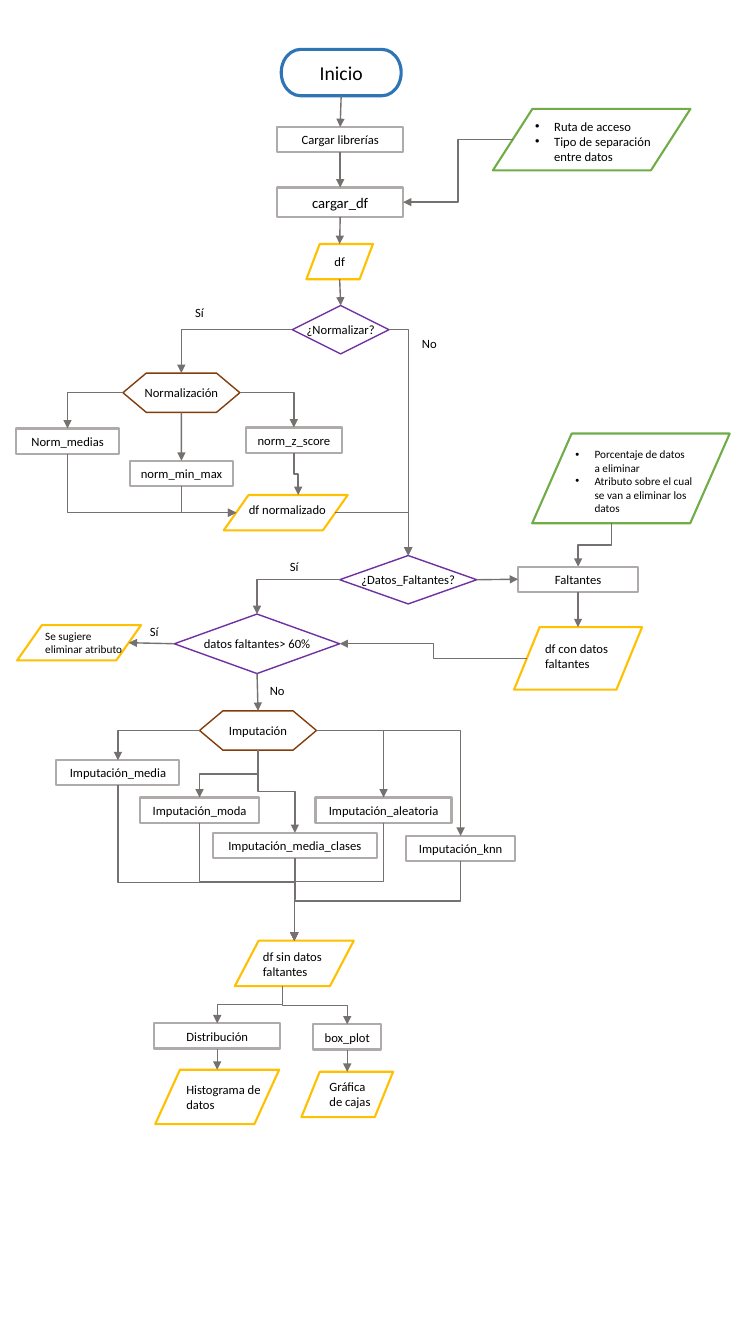
from lxml.etree import SubElement as Sub
from pptx import Presentation
from pptx.dml.color import RGBColor as Rgb
from pptx.enum.shapes import MSO_CONNECTOR as Con, MSO_SHAPE as Geo
from pptx.enum.text import MSO_ANCHOR as Anchor, PP_ALIGN as Align
from pptx.oxml.ns import qn
from pptx.util import Inches, Pt

FONT, INK, ARROW = "Calibri", "000000", "767171"
INDENT = 0.19

KINDS = {
    "start": (Geo.FLOWCHART_TERMINATOR, "2E75B6", 2.25),
    "step": (Geo.RECTANGLE, "AFABAB", 1.5),
    "input": (Geo.FLOWCHART_DATA, "70AD47", 1.5),
    "data": (Geo.FLOWCHART_DATA, "FFC000", 1.5),
    "choice": (Geo.FLOWCHART_DECISION, "7030A0", 1),
    "branch": (Geo.FLOWCHART_PREPARATION, "843C0B", 1),
}

NODES = {
    "start": ("start", 2.79, 0.49, 1.19, 0.46, "Inicio", 14),
    "libs": ("step", 2.75, 1.26, 1.25, 0.25, "Cargar librerías", 9),
    "load": ("step", 2.75, 1.86, 1.25, 0.29, "cargar_df", 10.5),
    "source": ("input", 4.89, 1.08, 1.96, 0.61, "", 9),
    "df": ("data", 3.04, 2.42, 0.66, 0.35, "df", 9),
    "norm?": ("choice", 2.9, 3.03, 0.96, 0.48, "¿Normalizar?", 9),
    "norm": ("branch", 1.22, 3.7, 1.16, 0.39, "Normalización", 9),
    "means": ("step", 0.16, 4.25, 1.02, 0.25, "Norm_medias", 9),
    "minmax": ("step", 1.29, 4.57, 1.02, 0.25, "norm_min_max", 9),
    "zscore": ("step", 2.44, 4.24, 0.95, 0.25, "norm_z_score", 9),
    "normed": ("data", 2.22, 4.91, 1.23, 0.35, "", 9),
    "limits": ("input", 5.28, 4.3, 1.96, 0.89, "", 8),
    "gaps?": ("choice", 3.37, 5.51, 1.36, 0.48, "¿Datos_Faltantes?", 9),
    "gaps": ("step", 5.14, 5.62, 1.19, 0.25, "Faltantes", 9),
    "gap df": ("data", 5.1, 6.22, 1.27, 0.62, "", 9),
    "60%?": ("choice", 1.73, 6.09, 1.64, 0.59, "datos faltantes> 60%", 9),
    "drop": ("data", 0.17, 6.2, 1.23, 0.35, "", 8),
    "fill": ("branch", 1.98, 7.05, 1.16, 0.39, "Imputación", 9),
    "mean": ("step", 0.56, 7.54, 1.22, 0.25, "Imputación_media", 9),
    "mode": ("step", 1.39, 7.91, 1.18, 0.25, "Imputación_moda", 9),
    "class": ("step", 2.11, 8.26, 1.63, 0.25, "Imputación_media_clases", 9),
    "random": ("step", 3.13, 7.91, 1.35, 0.25, "Imputación_aleatoria", 9),
    "knn": ("step", 4.03, 8.29, 1.08, 0.25, "Imputación_knn", 9),
    "full": ("data", 2.33, 9.33, 1.18, 0.45, "", 9),
    "spread": ("step", 1.53, 10.15, 1.25, 0.25, "Distribución", 9),
    "box": ("step", 3.11, 10.16, 0.67, 0.25, "box_plot", 9),
    "histo": ("data", 1.54, 10.61, 1.23, 0.54, "", 9),
    "graph": ("data", 2.99, 10.63, 0.91, 0.45, "", 9),
}

NOTES = [
    (5.21, 1.13, 1.5, 0.56, 9, True, ["Ruta de acceso", "Tipo de separación entre datos"]),
    (5.61, 4.39, 1.36, 0.77, 8, True,
     ["Porcentaje de datos a eliminar", "Atributo sobre el cual se van a eliminar los datos"]),
    (2.37, 4.93, 1.02, 0.25, 9, False, ["df normalizado"]),
    (5.31, 6.31, 0.86, 0.4, 9, False, ["df con datos faltantes"]),
    (0.35, 6.19, 1.02, 0.37, 8, False, ["Se sugiere eliminar atributo"]),
    (2.51, 9.36, 0.81, 0.4, 9, False, ["df sin datos faltantes"]),
    (1.75, 10.68, 0.98, 0.4, 9, False, ["Histograma de datos"]),
    (3.17, 10.65, 0.67, 0.4, 9, False, ["Gráfica de cajas"]),
]

LABELS = [("Sí", 1.8, 2.97), ("No", 4.08, 3.28), ("Sí", 2.74, 5.49),
          ("Sí", 1.35, 6.14), ("No", 2.57, 6.72)]

SITES = {"top": (0, 0.5, 0), "left": (1, 0, 0.5), "bottom": (2, 0.5, 1), "right": (3, 1, 0.5)}
SLANTED = {"top right": (0, 0.6, 0), "top": (1, 0.5, 0), "left": (2, 0.1, 0.5),
           "bottom left": (3, 0.4, 1), "bottom": (4, 0.5, 1), "right": (5, 0.9, 0.5)}

LINKS = [
    ("start", "bottom", "libs", "top"),
    ("libs", "bottom", "load", "top"),
    ("source", "left", "load", "right"),
    ("load", "bottom", "df", "top"),
    ("df", "bottom", "norm?", "top"),
    ("norm?", "left", "norm", "top"),
    ("norm?", "right", "gaps?", "top"),
    ("norm", "left", "means", "top"),
    ("norm", "bottom", "minmax", "top"),
    ("norm", "right", "zscore", "top"),
    ("means", "bottom", "normed", "left"),
    ("minmax", "bottom", "normed", "left"),
    ("zscore", "bottom", "normed", "top right"),
    ("normed", "right", "gaps?", "top"),
    ("gaps?", "right", "gaps", "left"),
    ("gaps?", "left", "60%?", "top"),
    ("limits", "bottom left", "gaps", "top"),
    ("gaps", "bottom", "gap df", "top"),
    ("gap df", "left", "60%?", "right"),
    ("60%?", "left", "drop", "right"),
    ("60%?", "bottom", "fill", "top"),
    ("fill", "left", "mean", "top"),
    ("fill", "bottom", "mode", "top"),
    ("fill", "bottom", "class", "top"),
    ("fill", "right", "random", "top"),
    ("fill", "right", "knn", "top"),
    ("mean", "bottom", "full", "top"),
    ("mode", "bottom", "full", "top"),
    ("class", "bottom", "full", "top"),
    ("random", "bottom", "full", "top"),
    ("knn", "bottom", "full", "top"),
    ("full", "bottom left", "spread", "top"),
    ("full", "bottom left", "box", "top"),
    ("spread", "bottom", "histo", "top"),
    ("box", "bottom", "graph", "top"),
]
BENDS = {("mean", "full"): 62500}


def color(code):
    return Rgb.from_string(code)


def apply(item, form):
    for name, value in form.items():
        setattr(item, name, value)


def write(shape, lines, size, wrap, align, pad, bullet=False):
    frame = shape.text_frame
    apply(frame, {"word_wrap": wrap, "margin_left": Inches(pad), "margin_right": Inches(pad),
                  "margin_top": Inches(0.05), "margin_bottom": Inches(0.05),
                  "vertical_anchor": Anchor.TOP if wrap else Anchor.MIDDLE})
    for i, line in enumerate(lines):
        para = frame.add_paragraph() if i else frame.paragraphs[0]
        para.alignment = align
        run = para.add_run()
        run.text = line
        apply(run.font, {"name": FONT, "size": Pt(size)})
        run.font.color.rgb = color(INK)
        if bullet:
            props = para._p.get_or_add_pPr()
            props.set("marL", str(Inches(INDENT)))
            props.set("indent", str(-Inches(INDENT)))
            Sub(props, qn("a:buFont"), typeface="Arial")
            Sub(props, qn("a:buChar"), char="•")


def draw(kind, x, y, wide, high, text, size):
    geo, tint, weight = KINDS[kind]
    shape = shapes.add_shape(geo, *map(Inches, (x, y, wide, high)))
    shape.shadow.inherit = False
    shape.fill.background()
    shape.line.color.rgb = color(tint)
    shape.line.width = Pt(weight)
    if text:
        write(shape, [text], size, False, Align.CENTER, 0)
    return shape


def locate(name, side):
    kind, x, y, wide, high = NODES[name][:5]
    index, across, down = (SLANTED if kind in ("input", "data") else SITES)[side]
    return index, x + across * wide, y + down * high


def link(tail, out, head, into):
    first, x1, y1 = locate(tail, out)
    last, x2, y2 = locate(head, into)
    flat, level = out in ("left", "right"), into in ("left", "right")
    shift = abs(y2 - y1) if flat else abs(x2 - x1)
    plain = flat == level and shift < 0.03 and (tail, head) != ("class", "full")
    style = Con.STRAIGHT if plain else Con.ELBOW
    line = shapes.add_connector(style, *map(Inches, (x1, y1, x2, y2)))
    line.line.color.rgb = color(ARROW)
    line.line.width = Pt(1)
    props = line._element.spPr
    Sub(props.find(qn("a:ln")), qn("a:tailEnd"), type="triangle")
    Sub(props, qn("a:effectLst"))
    if not plain:
        shape = props.find(qn("a:prstGeom"))
        if flat != level:
            shape.set("prst", "bentConnector2")
        if (tail, head) in BENDS:
            guides = shape.find(qn("a:avLst"))
            Sub(guides, qn("a:gd"), name="adj1", fmla=f"val {BENDS[tail, head]}")
        if not flat:
            wide, high = abs(x2 - x1), abs(y2 - y1)
            apply(line, {"left": Inches((x1 + x2 - high) / 2), "top": Inches((y1 + y2 - wide) / 2),
                         "width": Inches(high), "height": Inches(wide)})
            turn = props.find(qn("a:xfrm"))
            turn.set("rot", str((90 if x2 < x1 else 270) * 60000))
            turn.set("flipH", str(int(x2 >= x1)))
    joint = line._element.find(".//" + qn("p:cNvCxnSpPr"))
    for tag, name, index in (("a:stCxn", tail, first), ("a:endCxn", head, last)):
        Sub(joint, qn(tag), id=str(drawn[name].shape_id), idx=str(index))


deck = Presentation()
apply(deck, {"slide_width": Inches(7.5), "slide_height": Inches(13.33)})
shapes = deck.slides.add_slide(deck.slide_layouts[6]).shapes

drawn = {name: draw(*node) for name, node in NODES.items()}
for ends in LINKS:
    link(*ends)
for *place, size, bullet, lines in NOTES:
    note = shapes.add_textbox(*map(Inches, place))
    write(note, lines, size, True, Align.LEFT, 0.1, bullet)
for text, x, y in LABELS:
    label = shapes.add_textbox(*map(Inches, (x, y, 0.36, 0.25)))
    write(label, [text], 9, False, Align.CENTER, 0.1)

deck.save("out.pptx")
